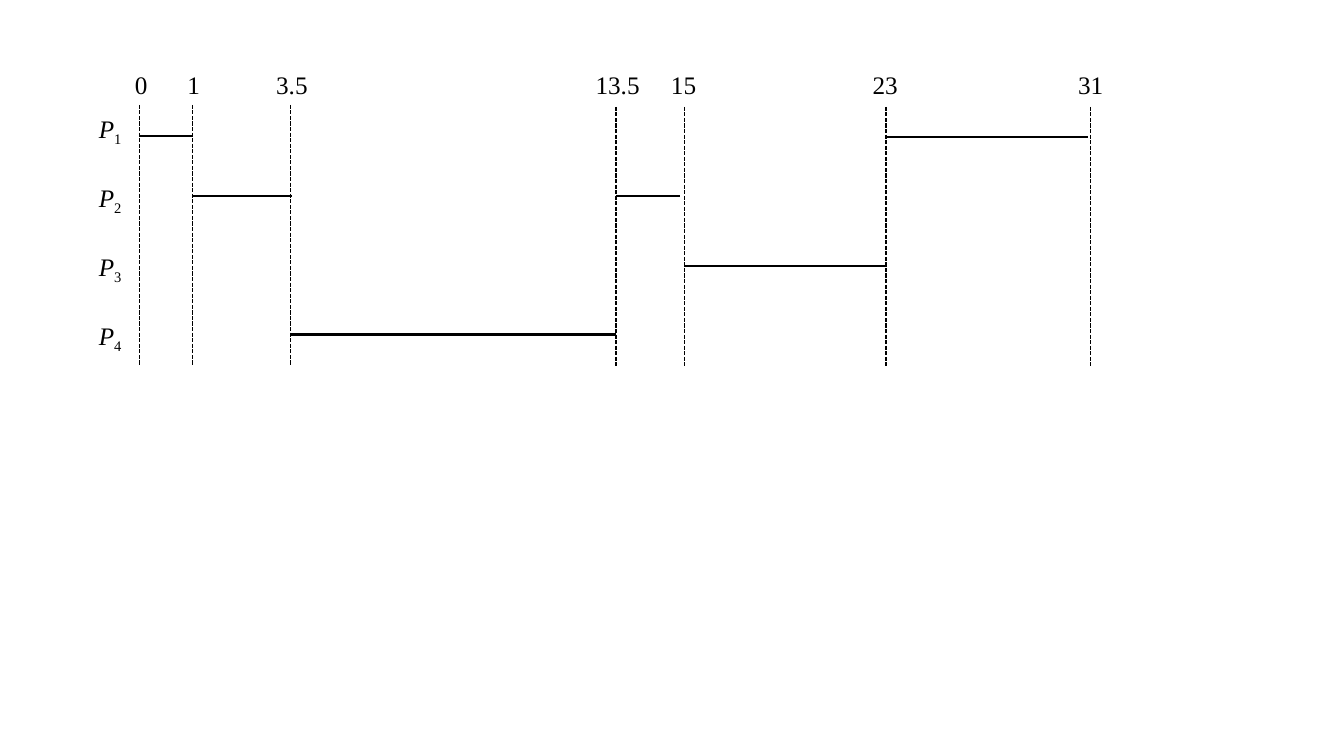
"""Build a Gantt chart slide of four scheduled processes."""
import pptx
import pptx.util
import pptx.dml.color
import pptx.enum.dml
import pptx.enum.shapes
import pptx.enum.text
import pptx.oxml.ns
import lxml.etree

Cm, Pt = pptx.util.Cm, pptx.util.Pt
COLORS = {"ink": "000000"}
FONT = "Times New Roman"

# time: (marker x, marker top, label left, label width)
TIMES = {
    "0": (3.51, 2.64, 3.15, 1.32),
    "1": (4.85, 2.64, 4.47, 1.32),
    "3.5": (7.32, 2.64, 6.71, 1.32),
    "13.5": (15.52, 2.69, 14.76, 1.63),
    "15": (17.25, 2.69, 16.66, 1.63),
    "23": (22.33, 2.69, 21.74, 1.63),
    "31": (27.48, 2.69, 26.92, 1.63),
}
PROCESSES = ["1", "2", "3", "4"]
BURSTS = [
    ("0", 4.85, 3.43),
    ("1", 7.37, 4.95),
    ("3.5", 15.52, 8.43),
    ("13.5", 17.15, 4.95),
    ("15", 22.35, 6.71),
    ("23", 27.43, 3.45),
]
MARKER_HEIGHT = 6.57
LABEL_HEIGHT = 1.02
TIME_TOP = 1.63
PROCESS_LEFT, PROCESS_TOP, PROCESS_WIDTH, PROCESS_PITCH = 2.24, 2.72, 1.37, 1.74


def ink():
    return pptx.dml.color.RGBColor.from_string(COLORS["ink"])


def add_line(shapes, x1, y1, x2, y2, width, dash=None):
    line = shapes.add_connector(
        pptx.enum.shapes.MSO_CONNECTOR.STRAIGHT, Cm(x1), Cm(y1), Cm(x2), Cm(y2))
    line.line.color.rgb = ink()
    line.line.width = Pt(width)
    if dash:
        line.line.dash_style = dash
    lxml.etree.SubElement(line._element.spPr, pptx.oxml.ns.qn("a:effectLst"))


def add_label(shapes, left, top, width, runs):
    label = shapes.add_textbox(Cm(left), Cm(top), Cm(width), Cm(LABEL_HEIGHT))
    frame = label.text_frame
    frame.word_wrap = True
    frame.auto_size = pptx.enum.text.MSO_AUTO_SIZE.SHAPE_TO_FIT_TEXT
    for text, italic, baseline in runs:
        run = frame.paragraphs[0].add_run()
        run.text = text
        run.font.name = FONT
        run.font.size = Pt(18)
        run.font.italic = italic
        run.font.color.rgb = ink()
        if baseline:
            run.font._element.set("baseline", str(baseline * 1000))


deck = pptx.Presentation()
deck.slide_width, deck.slide_height = Cm(33.87), Cm(19.05)
slide = deck.slides.add_slide(deck.slide_layouts[6])

for row, number in enumerate(PROCESSES):
    add_label(slide.shapes, PROCESS_LEFT, PROCESS_TOP + row * PROCESS_PITCH,
              PROCESS_WIDTH, [("P", True, 0), (number, False, -25)])

for time, (x, top, left, width) in TIMES.items():
    marker = slide.shapes.add_group_shape().shapes
    add_line(marker, x, top, x, top + MARKER_HEIGHT, 1,
             pptx.enum.dml.MSO_LINE.SQUARE_DOT)
    add_label(marker, left, TIME_TOP, width, [(time, False, 0)])

for start, end_x, y in BURSTS:
    add_line(slide.shapes, TIMES[start][0], y, end_x, y, 1.5)

deck.save("out.pptx")
